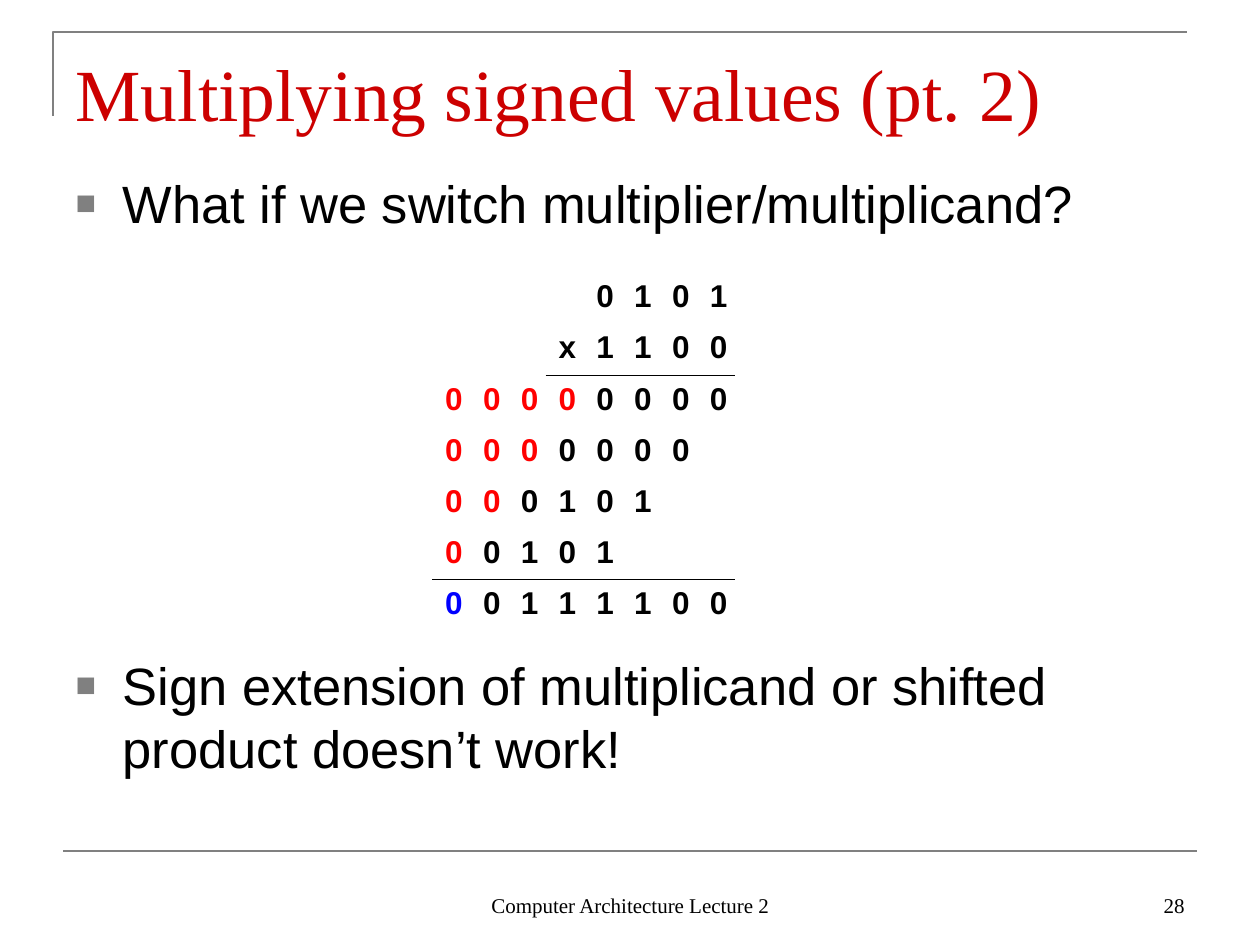
from dataclasses import dataclass

from lxml.etree import SubElement
from pptx import Presentation
from pptx.dml.color import RGBColor
from pptx.enum.shapes import MSO_CONNECTOR
from pptx.enum.text import MSO_ANCHOR, MSO_AUTO_SIZE, PP_ALIGN
from pptx.oxml.ns import qn
from pptx.util import Emu, Pt

EMU_PER_PX = 914400 / 126
COLORS = {
    "title": "CC0000",
    "text": "000000",
    "frame": "808080",
    "extension": "FF0000",
    "sign": "0000FF",
    "rule": "000000",
    "grid": "FFFFFF",
}
SERIF = "Times New Roman"
SANS = "Arial"
COLUMNS = 10


@dataclass(frozen=True)
class Box:
    left: int
    top: int
    width: int
    height: int


@dataclass(frozen=True)
class Step:
    digits: str
    first_column: int
    marked: int = 0
    mark: str = "extension"
    rule_from: int = COLUMNS


@dataclass(frozen=True)
class Footer:
    text: str
    box: Box
    align: PP_ALIGN


STEPS = [
    Step("0101", 6),
    Step("x1100", 5, rule_from=5),
    Step("00000000", 2, marked=4),
    Step("0000000", 2, marked=3),
    Step("000101", 2, marked=2),
    Step("00101", 2, marked=1, rule_from=2),
    Step("00111100", 2, marked=1, mark="sign"),
]
POINTS = [
    ("What if we switch multiplier/multiplicand?", Box(63, 158, 1134, 116)),
    ("Sign extension of multiplicand or shifted product doesn’t work!", Box(63, 640, 1134, 204)),
]
FOOTERS = [
    Footer("Computer Architecture Lecture 2", Box(431, 861, 399, 63), PP_ALIGN.CENTER),
    Footer("28", Box(903, 861, 294, 63), PP_ALIGN.RIGHT),
]


def px(length: float) -> Emu:
    return Emu(round(length * EMU_PER_PX))


def color(name: str) -> RGBColor:
    return RGBColor.from_string(COLORS[name])


def place(shape, box: Box) -> None:
    shape.left, shape.top = px(box.left), px(box.top)
    shape.width, shape.height = px(box.width), px(box.height)


def write(frame, text: str, font: str, size: int, ink: str, align=PP_ALIGN.LEFT, bold=False) -> None:
    frame.text = text
    paragraph = frame.paragraphs[0]
    paragraph.alignment = align
    for run in paragraph.runs:
        run.font.name = font
        run.font.size = Pt(size)
        run.font.bold = bold
        run.font.color.rgb = color(ink)


def add_bullet(paragraph) -> None:
    properties = paragraph._p.get_or_add_pPr()
    properties.set("marL", str(px(47)))
    properties.set("indent", str(-px(47)))
    bullet_color = SubElement(properties, qn("a:buClr"))
    SubElement(bullet_color, qn("a:srgbClr"), val=COLORS["frame"])
    SubElement(properties, qn("a:buSzPct"), val="65000")
    SubElement(properties, qn("a:buFont"), typeface=SANS)
    SubElement(properties, qn("a:buChar"), char="■")


def fill_title(title, text: str, box: Box) -> None:
    place(title, box)
    frame = title.text_frame
    frame.auto_size = MSO_AUTO_SIZE.NONE
    frame.vertical_anchor = MSO_ANCHOR.BOTTOM
    frame.margin_bottom = 0
    write(frame, text, SERIF, 42, "title")


def fill_point(body, text: str, box: Box) -> None:
    place(body, box)
    frame = body.text_frame
    frame.auto_size = MSO_AUTO_SIZE.NONE
    frame.vertical_anchor = MSO_ANCHOR.TOP
    frame.margin_top = px(13)
    write(frame, text, SANS, 30, "text")
    frame.paragraphs[0].space_before = Pt(0)
    add_bullet(frame.paragraphs[0])


def add_footer(slide, footer: Footer) -> None:
    box = footer.box
    label = slide.shapes.add_textbox(px(box.left), px(box.top), px(box.width), px(box.height))
    label.text_frame.word_wrap = True
    label.text_frame.vertical_anchor = MSO_ANCHOR.BOTTOM
    write(label.text_frame, footer.text, SERIF, 12, "text", footer.align)


def add_frame(slide) -> None:
    builder = slide.shapes.build_freeform(53, 116, scale=EMU_PER_PX)
    builder.add_line_segments([(53, 32), (1187, 32)], close=False)
    corner = builder.convert_to_shape()
    corner.shadow.inherit = False
    corner.fill.background()
    base = slide.shapes.add_connector(MSO_CONNECTOR.STRAIGHT, px(63), px(851), px(1197), px(851))
    SubElement(base._element.spPr, qn("a:effectLst"))
    for part in (corner, base):
        part.line.color.rgb = color("frame")
        part.line.width = Pt(1.5)


def set_borders(cell, edges: dict[str, str]) -> None:
    properties = cell._tc.get_or_add_tcPr()
    for edge, ink in edges.items():
        line = SubElement(properties, qn(f"a:{edge}"), w=str(Pt(0.45)))
        solid = SubElement(line, qn("a:solidFill"))
        SubElement(solid, qn("a:srgbClr"), val=COLORS[ink])


def add_multiplication(slide, box: Box) -> None:
    table = slide.shapes.add_table(
        len(STEPS), COLUMNS, px(box.left), px(box.top), px(box.width), px(box.height)
    ).table
    table.first_row = False
    table.horz_banding = False
    rule_above = COLUMNS
    for row, step in enumerate(STEPS):
        for column in range(COLUMNS):
            cell = table.cell(row, column)
            set_borders(cell, {
                "lnL": "grid",
                "lnR": "grid",
                "lnT": "rule" if column >= rule_above else "grid",
                "lnB": "rule" if column >= step.rule_from else "grid",
            })
            cell.fill.background()
            position = column - step.first_column
            if 0 <= position < len(step.digits):
                ink = step.mark if position < step.marked else "text"
                write(cell.text_frame, step.digits[position], SANS, 18, ink, bold=True)
        rule_above = step.rule_from


def main() -> None:
    deck = Presentation()
    deck.slide_width, deck.slide_height = px(1260), px(945)
    slide = deck.slides.add_slide(deck.slide_layouts.get_by_name("Two Content"))
    title, *bodies = slide.placeholders
    add_frame(slide)
    fill_title(title, "Multiplying signed values (pt. 2)", Box(63, 38, 1134, 98))
    for body, (text, box) in zip(bodies, POINTS):
        fill_point(body, text, box)
    for footer in FOOTERS:
        add_footer(slide, footer)
    add_multiplication(slide, Box(357, 273, 378, 358))
    deck.save("out.pptx")


if __name__ == "__main__":
    main()
